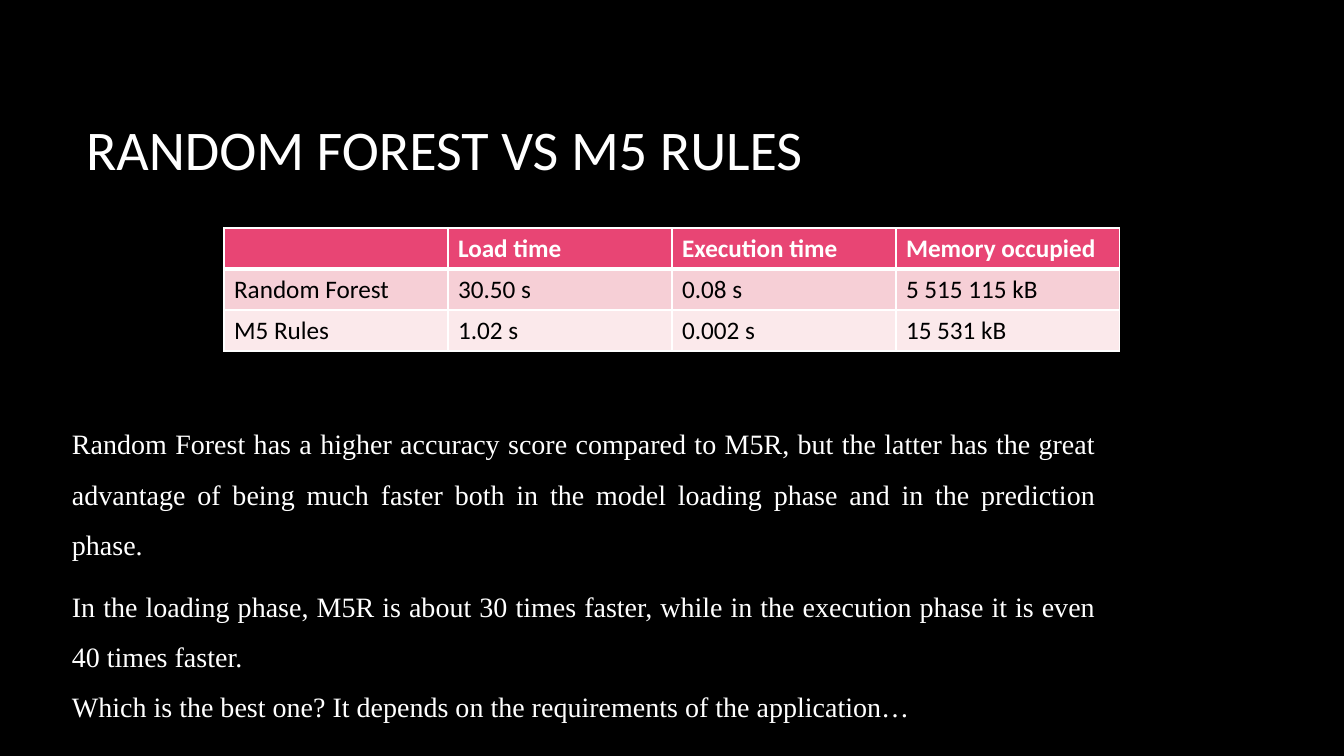
from lxml.etree import SubElement
from pptx import Presentation
from pptx.dml.color import RGBColor
from pptx.enum.text import MSO_ANCHOR, MSO_AUTO_SIZE, PP_ALIGN
from pptx.oxml.ns import qn
from pptx.util import Emu, Pt

EMU_PER_PX = 914400 / 100.8
COLORS = {
    "background": "000000",
    "light": "FFFFFF",
    "dark": "000000",
    "header": "E84574",
    "forest": "F6CFD6",
    "rules": "FBE9EB",
}
COMPARISON = [
    ("header", ["", "Load time", "Execution time", "Memory occupied"]),
    ("forest", ["Random Forest", "30.50 s", "0.08 s", "5 515 115 kB"]),
    ("rules", ["M5 Rules", "1.02 s", "0.002 s", "15 531 kB"]),
]
CONCLUSIONS = [
    "Random Forest has a higher accuracy score compared to M5R, but the latter "
    "has the great advantage of being much faster both in the model loading "
    "phase and in the prediction phase.",
    "In the loading phase, M5R is about 30 times faster, while in the execution "
    "phase it is even 40 times faster.",
    "Which is the best one? It depends on the requirements of the application…",
]
COLUMN_WIDTH, ROW_HEIGHT = 224, 41


def px(*lengths):
    return [Emu(round(length * EMU_PER_PX)) for length in lengths]


def style_runs(paragraph, font_name, size, color, bold=False):
    for run in paragraph.runs:
        run.font.name = font_name
        run.font.size = Pt(size)
        run.font.bold = bold
        run.font.color.rgb = RGBColor.from_string(COLORS[color])


presentation = Presentation()
presentation.slide_width, presentation.slide_height = px(1344, 756)
slide = presentation.slides.add_slide(presentation.slide_layouts[5])
slide.background.fill.solid()
slide.background.fill.fore_color.rgb = RGBColor.from_string(COLORS["background"])

# Title
title = slide.shapes.title
title.left, title.top, title.width, title.height = px(76, 68, 1117, 160)
heading = title.text_frame
heading.text = "RANDOM FOREST VS M5 RULES"
heading.word_wrap = True
heading.auto_size = MSO_AUTO_SIZE.NONE
heading.vertical_anchor = MSO_ANCHOR.MIDDLE
heading.paragraphs[0].alignment = PP_ALIGN.LEFT
style_runs(heading.paragraphs[0], "Calibri", 40, "light")

# Comparison table
row_count, column_count = len(COMPARISON), len(COMPARISON[0][1])
comparison = slide.shapes.add_table(
    row_count, column_count,
    *px(224, 228, column_count * COLUMN_WIDTH, row_count * ROW_HEIGHT),
).table
for column in comparison.columns:
    column.width = px(COLUMN_WIDTH)[0]
for row_index, (band, values) in enumerate(COMPARISON):
    comparison.rows[row_index].height = px(ROW_HEIGHT)[0]
    is_header = row_index == 0
    border_widths = {
        "a:lnL": 1,
        "a:lnR": 1,
        "a:lnT": 3 if row_index == 1 else 1,
        "a:lnB": 3 if is_header else 1,
    }
    for column_index, value in enumerate(values):
        cell = comparison.cell(row_index, column_index)
        cell.text = value
        style_runs(cell.text_frame.paragraphs[0], "Calibri", 18,
                   "light" if is_header else "dark", is_header)
        properties = cell._tc.get_or_add_tcPr()
        for side, width in border_widths.items():
            border = SubElement(properties, qn(side), w=str(Pt(width)))
            border_fill = SubElement(border, qn("a:solidFill"))
            SubElement(border_fill, qn("a:srgbClr"), val=COLORS["light"])
        cell.fill.solid()
        cell.fill.fore_color.rgb = RGBColor.from_string(COLORS[band])

# Conclusions
conclusions = slide.shapes.add_textbox(*px(62, 405, 1044, 322)).text_frame
conclusions.word_wrap = True
conclusions.auto_size = MSO_AUTO_SIZE.SHAPE_TO_FIT_TEXT
conclusions.text = "\n".join(CONCLUSIONS)
for paragraph in conclusions.paragraphs:
    paragraph.alignment = PP_ALIGN.JUSTIFY
    paragraph.line_spacing = 1.5
    style_runs(paragraph, "Times New Roman", 20, "light")
conclusions.paragraphs[0].space_after = Pt(8)

presentation.save("out.pptx")
